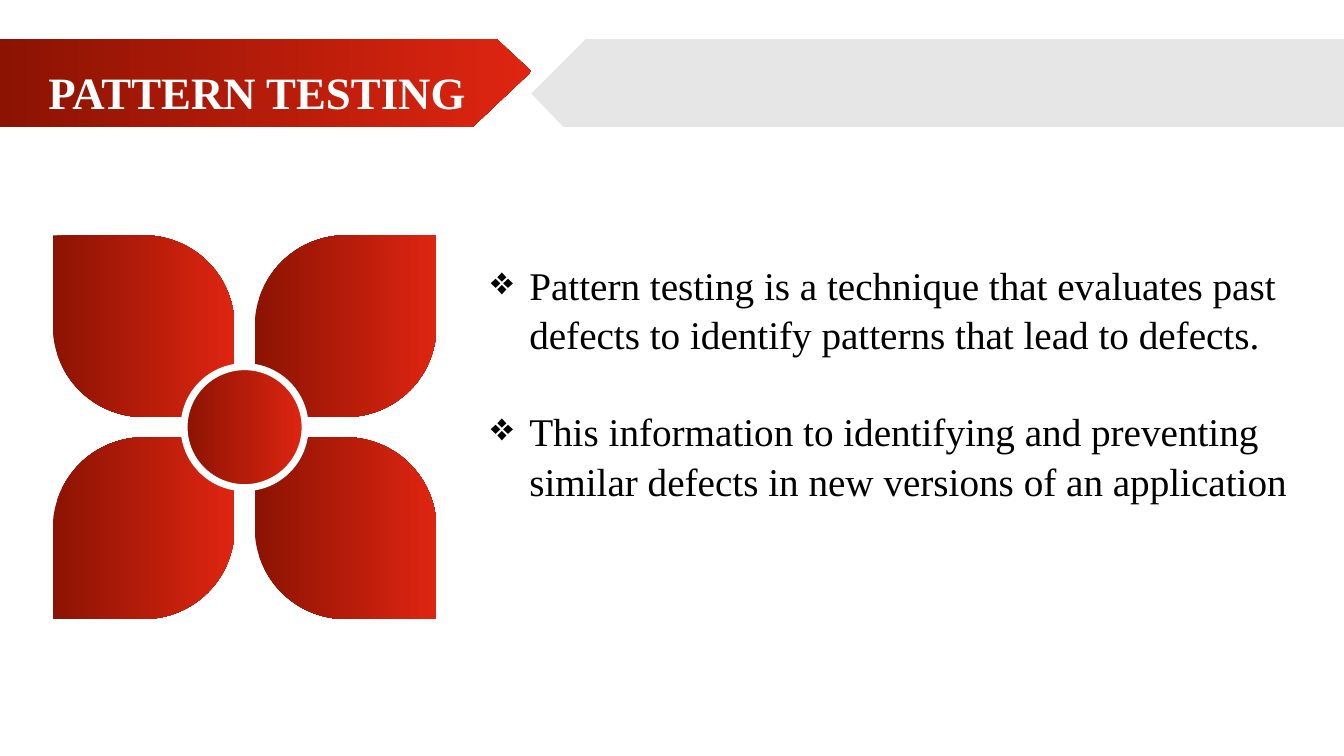
from dataclasses import dataclass

import pptx
import pptx.dml.color
import pptx.enum.shapes
import pptx.enum.text
import pptx.oxml.ns
import pptx.util
from lxml import etree
from pptx.util import Cm

COLORS = {"dark_red": "8C1302", "red": "DE2511", "grey": "E7E6E6",
          "white": "FFFFFF", "black": "000000"}
FONT = "Times New Roman"
SHAPES = pptx.enum.shapes.MSO_SHAPE
ANCHORS = pptx.enum.text.MSO_ANCHOR


@dataclass
class Banner:
    points: list[tuple[float, float]]
    color: str | None = None  # None gives the red gradient


@dataclass
class Petal:
    col: int
    row: int

    @property
    def rounding(self) -> tuple[float, float]:
        """Rounding of the two diagonals; the outer corner stays square."""
        return (0, 0.5) if self.col == self.row else (0.5, 0)


def rgb(name: str) -> pptx.dml.color.RGBColor:
    return pptx.dml.color.RGBColor.from_string(COLORS[name])


def paint(sp, color: str | None = None) -> None:
    """Fill a shape with one colour or the red gradient, without line or shadow."""
    sp.shadow.inherit = False
    sp.line.fill.background()
    if color:
        sp.fill.solid()
        sp.fill.fore_color.rgb = rgb(color)
        return
    sp.fill.gradient()
    sp.fill.gradient_angle = 0
    for stop, name in zip(sp.fill.gradient_stops, ("dark_red", "red")):
        stop.color.rgb = rgb(name)


def add_banner(s, banner: Banner) -> None:
    points = [(Cm(x), Cm(y)) for x, y in banner.points]
    builder = s.shapes.build_freeform(*points[0])
    builder.add_line_segments(points[1:], close=True)
    paint(builder.convert_to_shape(), banner.color)


def add_petal(s, petal: Petal) -> None:
    sp = s.shapes.add_shape(SHAPES.ROUND_2_DIAG_RECTANGLE,
                            Cm(LEFT + petal.col * PITCH), Cm(TOP + petal.row * PITCH),
                            Cm(PETAL), Cm(PETAL))
    sp.adjustments[0], sp.adjustments[1] = petal.rounding
    paint(sp)


def add_bullet(p, char: str, indent: float) -> None:
    pPr = p._p.get_or_add_pPr()
    pPr.set("marL", str(Cm(indent)))
    pPr.set("indent", str(-Cm(indent)))
    etree.SubElement(pPr, pptx.oxml.ns.qn("a:buChar")).set("char", char)


def add_text(s, text: str, box: tuple[float, float, float, float], *, size: float,
             color: str, bold: bool = False, spacing: float = 1.0, gap: float = 0,
             bullet: str = "", anchor=ANCHORS.TOP) -> None:
    """Add a text box with one paragraph for each line of text."""
    tf = s.shapes.add_textbox(*map(Cm, box)).text_frame
    tf.word_wrap = True
    tf.vertical_anchor = anchor
    for i, line in enumerate(text.split("\n")):
        p = tf.add_paragraph() if i else tf.paragraphs[0]
        if bullet:
            add_bullet(p, bullet, 0.97)
        p.line_spacing = spacing
        if i:
            p.space_before = pptx.util.Pt(gap)
        r = p.add_run()
        r.text = line
        r.font.name, r.font.size, r.font.bold = FONT, pptx.util.Pt(size), bold
        r.font.color.rgb = rgb(color)


# Slide measures in centimetres
WIDTH, HEIGHT = 33.87, 19.05
BAND_TOP, BAND_BOTTOM = 0.99, 3.2
LEFT, TOP, PETAL, PITCH = 1.33, 5.93, 4.58, 5.09
HUB = 3.05

BANNERS = [
    Banner([(0, BAND_TOP), (12.52, BAND_TOP), (13.39, 1.8),
            (11.91, BAND_BOTTOM), (0, BAND_BOTTOM)]),
    Banner([(14.76, BAND_TOP), (WIDTH, BAND_TOP), (WIDTH, BAND_BOTTOM),
            (14.2, BAND_BOTTOM), (13.39, 2.36)], "grey"),
]
PETALS = [Petal(col, row) for row in range(2) for col in range(2)]
BODY = ("Pattern testing is a technique that evaluates past defects"
        " to identify patterns that lead to defects.\n"
        "This information to identifying and preventing similar defects"
        " in new versions of an application")


def main() -> None:
    prs = pptx.Presentation()
    prs.slide_width, prs.slide_height = Cm(WIDTH), Cm(HEIGHT)
    s = prs.slides.add_slide(prs.slide_layouts[6])

    # Header band and title
    for banner in BANNERS:
        add_banner(s, banner)
    add_text(s, "PATTERN TESTING", (0.97, BAND_TOP, 11.68, BAND_BOTTOM - BAND_TOP),
             size=32, color="white", bold=True, spacing=1.3, anchor=ANCHORS.MIDDLE)

    # Flower: four petals around a hub
    for petal in PETALS:
        add_petal(s, petal)
    inset = (PITCH + PETAL - HUB) / 2
    hub = s.shapes.add_shape(SHAPES.OVAL, Cm(LEFT + inset), Cm(TOP + inset),
                             Cm(HUB), Cm(HUB))
    paint(hub)
    hub.line.color.rgb = rgb("white")
    hub.line.width = pptx.util.Pt(5)

    # Body text
    add_text(s, BODY, (12.12, 6.4, 21.01, 9.19), size=28, color="black",
             spacing=1.05, gap=34, bullet="❖")

    prs.save("out.pptx")


if __name__ == "__main__":
    main()
